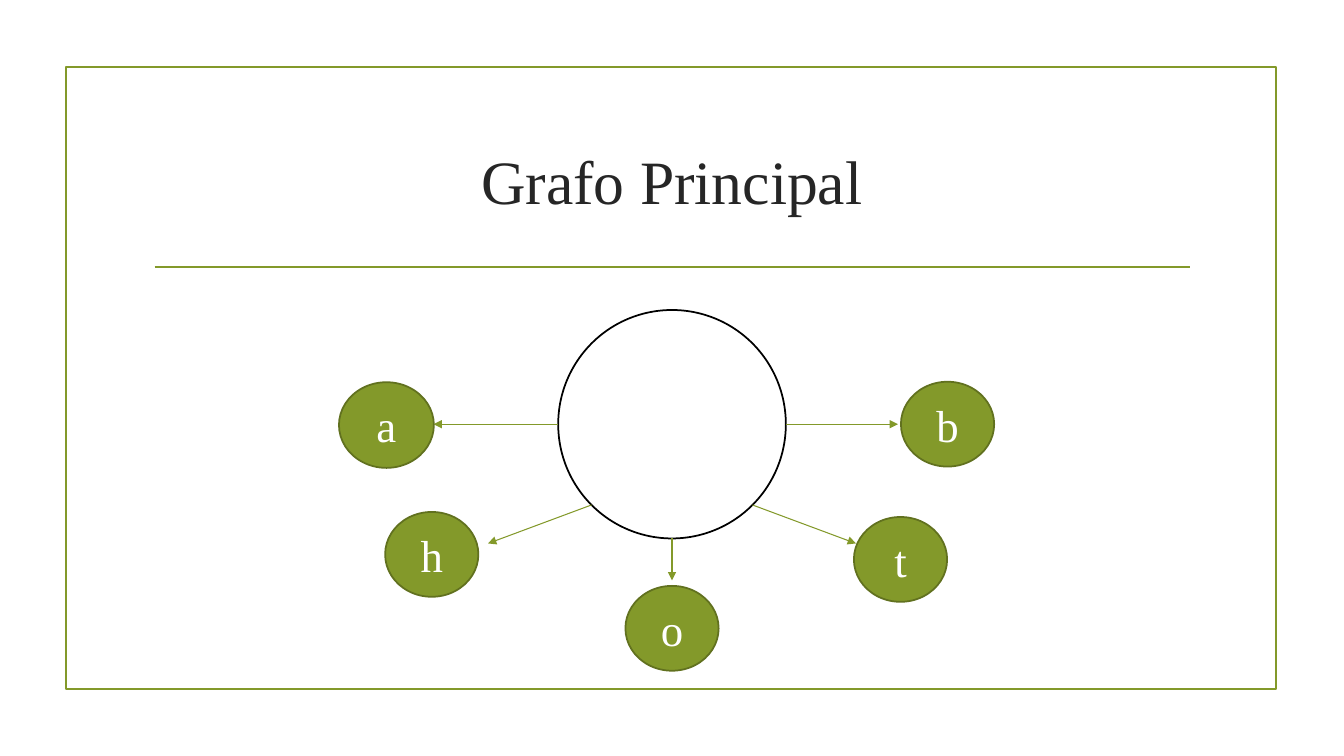
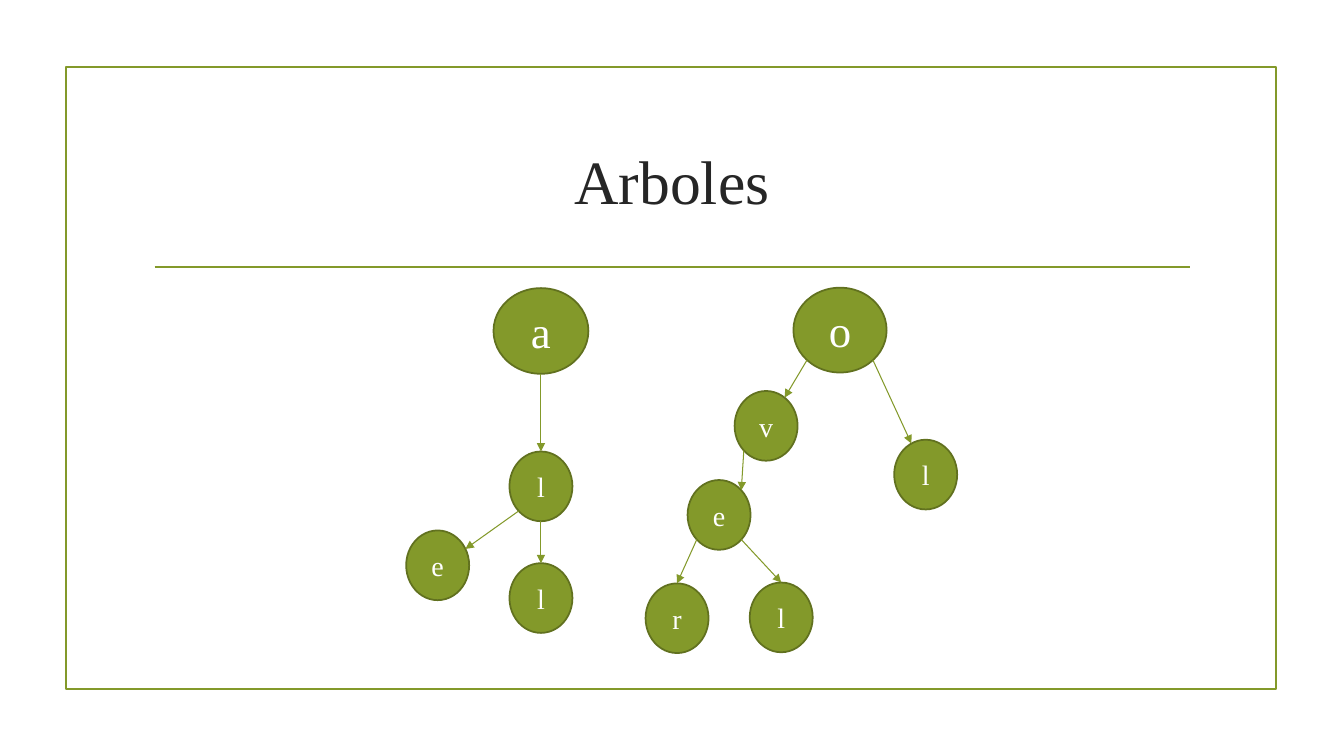
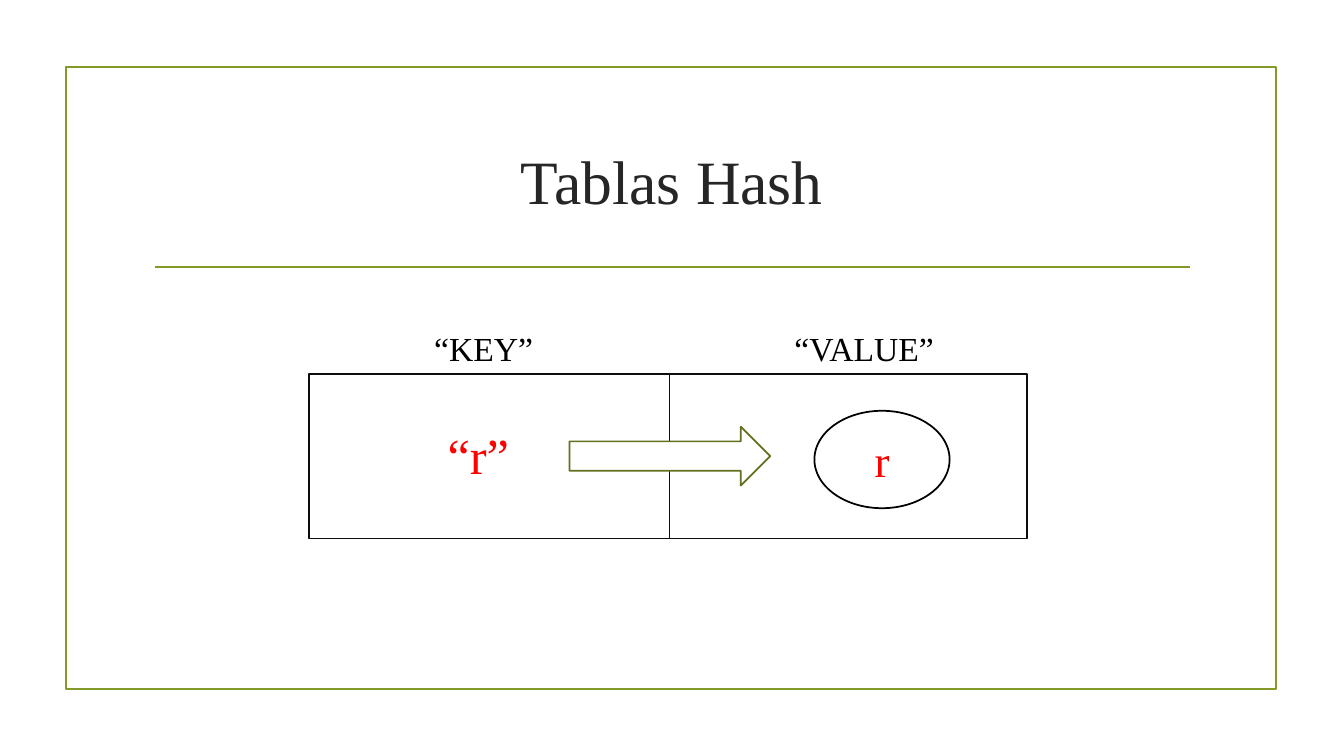
import math
from dataclasses import dataclass

from lxml import etree
from pptx import Presentation
from pptx import util as u
from pptx.dml.color import RGBColor
from pptx.enum import shapes, text
from pptx.oxml.ns import qn


@dataclass(frozen=True)
class Theme:
    font: str = "Times New Roman"
    accent: str = "83992A"
    edge: str = "61711F"
    heading: str = "262626"
    ink: str = "000000"
    cell_edge: str = "0D0D0D"
    paper: str = "FFFFFF"
    highlight: str = "FF0000"
    title_size: int = 44
    key_size: int = 36
    node_size: int = 32
    label_size: int = 24
    leaf_size: int = 20
    outline: float = 1.25
    arrow: float = 0.75


# Grid of the slide, and node sizes as (columns, rows)
COLUMNS, ROWS = 160, 90
WIDTH, HEIGHT = u.Inches(13.33), u.Inches(7.5)
FIRST, NODE, LEAF = (11.3, 10.2), (11.1, 10.1), (7.5, 8.3)

# Directions on an oval's rim, in degrees clockwise from the right
EAST, SE, SOUTH, SW, WEST, NORTH, NE = 0, 45, 90, 135, 180, 270, 315


def color(value):
    return RGBColor.from_string(value)


def rim(oval, degrees):
    """Grid point on the rim of an oval given as (col, row, width, height)."""
    col, row, width, height = oval
    angle = math.radians(degrees)
    return col + width / 2 * math.cos(angle), row + height / 2 * math.sin(angle)


class Deck:
    def __init__(self, theme):
        self.theme = theme
        self.deck = Presentation()
        self.deck.slide_width, self.deck.slide_height = WIDTH, HEIGHT
        self.slide = None

    def place(self, *grid):
        """Turn alternating columns and rows into slide lengths."""
        steps = (WIDTH / COLUMNS, HEIGHT / ROWS)
        return [u.Emu(round(v * steps[i % 2])) for i, v in enumerate(grid)]

    def set_text(self, frame, words, size, ink, align=text.PP_ALIGN.CENTER,
                 anchor=text.MSO_ANCHOR.MIDDLE):
        frame.text = words
        frame.word_wrap = True
        frame.vertical_anchor = anchor
        paragraph = frame.paragraphs[0]
        paragraph.alignment = align
        paragraph.font.name = self.theme.font
        paragraph.font.size = u.Pt(size)
        paragraph.font.color.rgb = color(ink)

    def new_slide(self, heading):
        """Title, frame and rule shared by every slide."""
        self.slide = self.deck.slides.add_slide(self.deck.slide_layouts[5])
        title = self.slide.shapes.title
        title.left, title.top, title.width, title.height = self.place(17, 12.8, 126, 17.2)
        self.set_text(title.text_frame, heading, self.theme.title_size, self.theme.heading)
        self.shape(shapes.MSO_SHAPE.RECTANGLE, (7.9, 8, 144, 74), None, self.theme.accent)
        self.line((18.4, 31.8), (141.7, 31.8), self.theme.outline)

    def shape(self, kind, box, fill, edge):
        shape = self.slide.shapes.add_shape(kind, *self.place(*box))
        shape.shadow.inherit = False
        if fill:
            shape.fill.solid()
            shape.fill.fore_color.rgb = color(fill)
        else:
            shape.fill.background()
        shape.line.color.rgb = color(edge)
        shape.line.width = u.Pt(self.theme.outline)
        return shape

    def oval(self, center, size, fill, edge):
        (col, row), (width, height) = center, size
        box = (col - width / 2, row - height / 2, width, height)
        return self.shape(shapes.MSO_SHAPE.OVAL, box, fill, edge)

    def node(self, letter, center, size=NODE):
        """Filled node; returns its grid oval so that arrows can find its rim."""
        theme = self.theme
        node = self.oval(center, size, theme.accent, theme.edge)
        points = theme.leaf_size if size == LEAF else theme.node_size
        self.set_text(node.text_frame, letter, points, theme.paper)
        return (*center, *size)

    def line(self, start, end, width):
        line = self.slide.shapes.add_connector(
            shapes.MSO_CONNECTOR.STRAIGHT, *self.place(*start, *end))
        line.line.color.rgb = color(self.theme.accent)
        line.line.width = u.Pt(width)
        etree.SubElement(line._element.spPr, qn("a:effectLst"))
        return line

    def arrow(self, start, end):
        arrow = self.line(start, end, self.theme.arrow)
        outline = arrow._element.spPr.find(qn("a:ln"))
        etree.SubElement(outline, qn("a:tailEnd"), type="triangle")

    def label(self, words, box, size, ink):
        label = self.slide.shapes.add_textbox(*self.place(*box))
        self.set_text(label.text_frame, words, size, ink,
                      text.PP_ALIGN.LEFT, text.MSO_ANCHOR.TOP)


def main_graph(deck):
    deck.new_slide("Grafo Principal")
    theme = deck.theme
    hub = (80, 50.5, 27.1, 27.2)
    deck.oval(hub[:2], hub[2:], theme.paper, theme.ink)
    # Letter, centre, size, side of the hub it leaves from, arrow tip
    branches = [
        ("a", (46, 50.6), FIRST, WEST, (51.6, 50.5)),
        ("h", (51.4, 66), NODE, SW, (58.1, 64.7)),
        ("o", (80, 74.8), NODE, SOUTH, (80, 69.1)),
        ("t", (107.2, 66.6), NODE, SE, (101.9, 64.7)),
        ("b", (112.8, 50.5), NODE, EAST, (106.9, 50.5)),
    ]
    for letter, center, size, side, tip in branches:
        deck.arrow(rim(hub, side), tip)
        deck.node(letter, center, size)


def trees(deck):
    deck.new_slide("Arboles")
    # Each key spells the way from the root down to the node
    nodes = {
        "a": deck.node("a", (64.4, 39.4), FIRST),
        "o": deck.node("o", (100, 39.3)),
    }
    leaves = {
        "al": (64.4, 57.9), "ale": (52.1, 67.3), "all": (64.4, 71.2),
        "ov": (91.2, 50.7), "ol": (110.2, 56.5), "ove": (85.6, 61.3),
        "over": (80.6, 73.6), "ovel": (93, 73.5),
    }
    for prefix, center in leaves.items():
        nodes[prefix] = deck.node(prefix[-1], center, LEAF)
    # Child, side of its parent, side of the child
    edges = [
        ("al", SOUTH, NORTH), ("ale", SW, -28), ("all", SOUTH, NORTH),
        ("ov", SW, -54), ("ol", SE, -117), ("ove", SW, NE),
        ("over", SW, NORTH), ("ovel", SE, NORTH),
    ]
    for child, leave, arrive in edges:
        deck.arrow(rim(nodes[child[:-1]], leave), rim(nodes[child], arrive))


def hash_tables(deck):
    deck.new_slide("Tablas Hash")
    theme = deck.theme
    # Key and value cells with their headings
    for left, width in ((36.8, 46.6), (79.7, 42.6)):
        deck.shape(shapes.MSO_SHAPE.RECTANGLE, (left, 44.5, width, 19.6),
                   theme.paper, theme.cell_edge)
    for heading, left, width in (("“KEY”", 50.5, 15.4), ("“VALUE”", 93.4, 19.7)):
        deck.label(heading, (left, 38.4, width, 6), theme.label_size, theme.ink)
    # The key leads to its node
    deck.shape(shapes.MSO_SHAPE.RIGHT_ARROW, (67.8, 50.8, 23.9, 7),
               theme.paper, theme.edge)
    value = deck.oval((105, 54.7), (16.1, 11.6), theme.paper, theme.ink)
    deck.set_text(value.text_frame, "r", theme.node_size, theme.highlight)
    deck.label("“r”", (52.1, 49.9, 17.3, 8.5), theme.key_size, theme.highlight)


def main():
    deck = Deck(Theme())
    for build in (main_graph, trees, hash_tables):
        build(deck)
    deck.deck.save("out.pptx")


if __name__ == "__main__":
    main()
